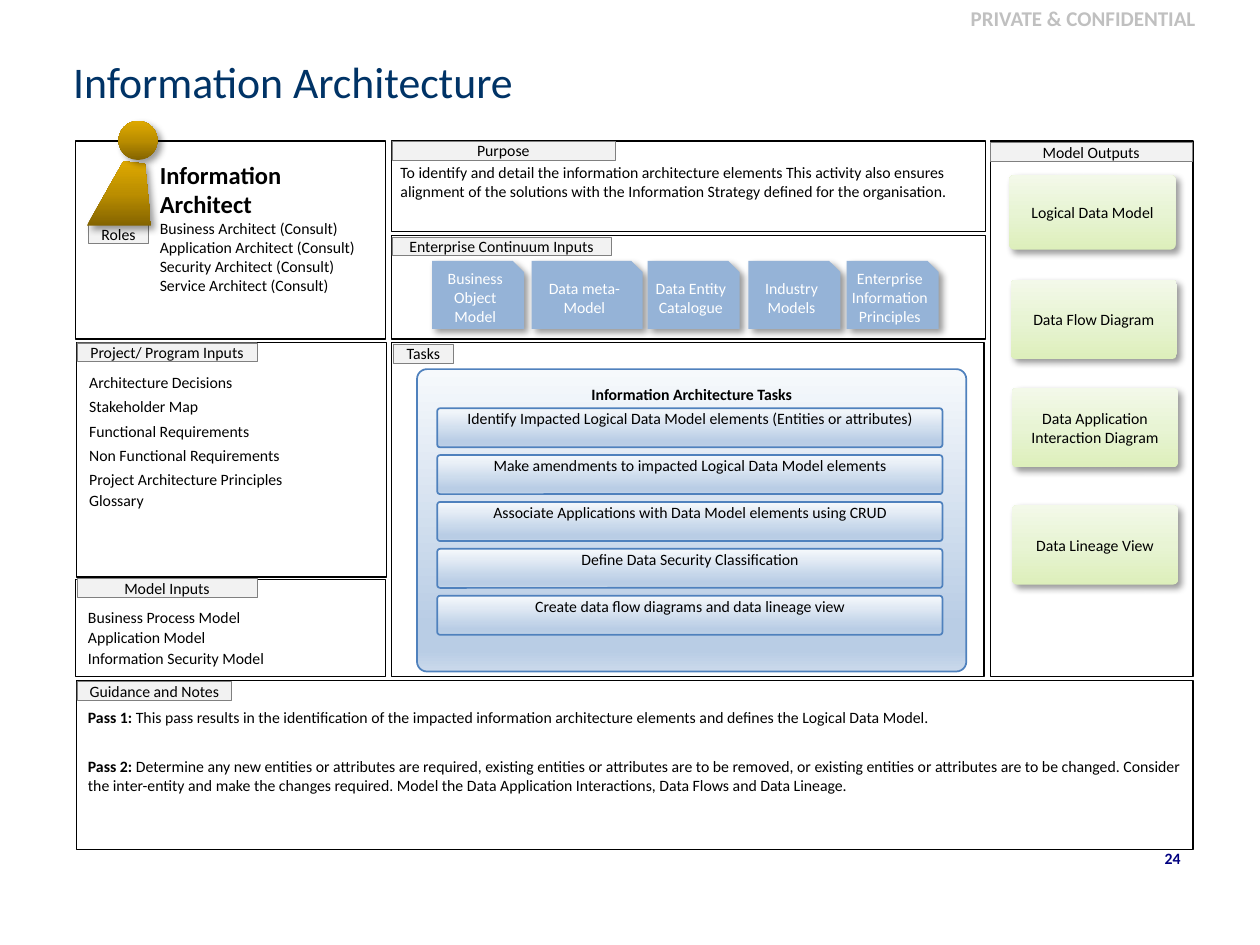
from dataclasses import dataclass

from lxml.etree import SubElement
from pptx import Presentation
from pptx.dml.color import RGBColor
from pptx.enum.shapes import MSO_SHAPE
from pptx.enum.text import MSO_ANCHOR, PP_ALIGN
from pptx.oxml.ns import qn
from pptx.util import Inches, Pt


@dataclass(frozen=True)
class Theme:
    font: str = "Calibri"
    black: str = "000000"
    white: str = "FFFFFF"
    title: str = "003366"
    number: str = "000080"
    marking: str = "C0C0C0"
    label: str = "F2F2F2"
    label_line: str = "808080"
    chip: str = "95B3D7"
    task_line: str = "4F81BD"
    blue: tuple = ((0, "F6F9FC"), (85, "B9CDE5"), (93, "B9CDE5"), (100, "CAD9EB"))
    green: tuple = ((0, "DDEFBB"), (50, "E8F4D4"), (100, "F3F9E9"))
    gold: tuple = ((0, "846400"), (50, "BB8E00"), (100, "DEA900"))
    body: int = 9
    small: int = 12
    role: int = 14
    heading: int = 25


class Board:
    """Draws on a slide laid out as a grid of 100 columns by 75 rows."""

    def __init__(self, prs, theme):
        self.t = theme
        self.s = prs.slides.add_slide(prs.slide_layouts[6])
        self.col = prs.slide_width / 100
        self.row = prs.slide_height / 75

    def place(self, x, y, w, h):
        return [round(v * u) for v, u in zip((x, y, w, h), (self.col, self.row) * 2)]

    def set_text(self, sp, paras, size=None, color=None, bold=False, align=PP_ALIGN.LEFT,
                 anchor=MSO_ANCHOR.TOP, insets=(0.1, 0.05), top=None, after=()):
        tf = sp.text_frame
        tf.word_wrap = True
        tf.vertical_anchor = anchor
        tf.margin_left = tf.margin_right = Inches(insets[0])
        tf.margin_top = Inches(insets[1] if top is None else top)
        tf.margin_bottom = Inches(insets[1])
        tf.text = "\n".join(paras)
        for i, p in enumerate(tf.paragraphs):
            p.alignment = align
            if after:
                p.space_after = Pt(after[i])
            for r in p.runs:
                self.font(r, size, color, bold)
        return tf

    def font(self, r, size=None, color=None, bold=False):
        r.font.name = self.t.font
        r.font.size = Pt(size or self.t.body)
        r.font.bold = bold
        r.font.color.rgb = RGBColor.from_string(color or self.t.black)

    def text(self, at, paras, **style):
        return self.set_text(self.s.shapes.add_textbox(*self.place(*at)), paras, **style)

    def paint(self, sp, fill, line=None, width=0.75, angle=90, shadow=False):
        if isinstance(fill, str):
            sp.fill.solid()
            sp.fill.fore_color.rgb = RGBColor.from_string(fill)
        else:
            sp.fill.gradient()
            sp.fill.gradient_angle = angle
            stops = sp.element.spPr.find(qn("a:gradFill")).find(qn("a:gsLst"))
            stops.clear()
            for pos, color in fill:
                gs = SubElement(stops, qn("a:gs"), pos=str(pos * 1000))
                SubElement(gs, qn("a:srgbClr"), val=color)
        if line:
            sp.line.color.rgb = RGBColor.from_string(line)
            sp.line.width = Pt(width)
        else:
            sp.line.fill.background()
        sp.shadow.inherit = False
        if shadow:
            effects = sp.element.spPr.find(qn("a:effectLst"))
            outer = SubElement(effects, qn("a:outerShdw"), blurRad=str(Pt(4)),
                               dist=str(Pt(3)), dir=str(45 * 60000), rotWithShape="0")
            color = SubElement(outer, qn("a:srgbClr"), val=self.t.black)
            SubElement(color, qn("a:alpha"), val="40000")
        return sp

    def shape(self, kind, at, fill, adj=None, **look):
        sp = self.s.shapes.add_shape(kind, *self.place(*at))
        if adj is not None:
            sp.adjustments[0] = adj
        return self.paint(sp, fill, **look)

    def panel(self, at):
        return self.shape(MSO_SHAPE.RECTANGLE, at, self.t.white, line=self.t.black)

    def centred(self, sp, text, anchor=MSO_ANCHOR.MIDDLE, **style):
        self.set_text(sp, [text], align=PP_ALIGN.CENTER, anchor=anchor,
                      **{"insets": (0, 0), **style})

    def label(self, x, y, w, text):
        sp = self.shape(MSO_SHAPE.RECTANGLE, (x, y, w, 1.5), self.t.label,
                        line=self.t.label_line, width=0.25)
        self.centred(sp, text, anchor=MSO_ANCHOR.TOP)

    def chip(self, x, w, text):
        sp = self.shape(MSO_SHAPE.SNIP_1_RECTANGLE, (x, 20.7, w, 5.4), self.t.chip,
                        shadow=True)
        self.centred(sp, text, color=self.t.white)

    def task(self, at, text, adj, **style):
        sp = self.shape(MSO_SHAPE.ROUNDED_RECTANGLE, at, self.t.blue, adj=adj,
                        angle=270, line=self.t.task_line, width=1)
        self.centred(sp, text, anchor=MSO_ANCHOR.TOP, **style)

    def output(self, at, text):
        sp = self.shape(MSO_SHAPE.ROUNDED_RECTANGLE, at, self.t.green, adj=0.062,
                        shadow=True)
        self.centred(sp, text)

    def note(self, y, h, lead, text):
        p = self.text((6, y, 88.6, h), [lead]).paragraphs[0]
        p.runs[0].font.bold = True
        r = p.add_run()
        r.text = text
        self.font(r)

    def person(self):
        points = [(6.9, 17.9), (9.8, 12.8), (11.5, 13), (12, 17.9)]
        start, *rest = [self.place(x, y, 0, 0)[:2] for x, y in points]
        fb = self.s.shapes.build_freeform(*start)
        fb.add_line_segments(rest, close=True)
        robe = self.paint(fb.convert_to_shape(), self.t.gold, shadow=True)
        head = self.shape(MSO_SHAPE.OVAL, (9.4, 9.6, 3.1, 3.1), self.t.gold, shadow=True)
        self.s.shapes.add_group_shape([robe, head])


def main():
    prs = Presentation()
    prs.slide_width, prs.slide_height = Inches(10), Inches(7.5)
    t = Theme()
    b = Board(prs, t)

    # Marking, title and page number
    b.text((61.7, 0, 34.1, 2.9), ["PRIVATE & CONFIDENTIAL"], size=t.small,
           color=t.marking, bold=True, align=PP_ALIGN.RIGHT, insets=(0.09, 0.04))
    b.text((4.9, 2.8, 89.1, 7.3), ["Information Architecture"], size=t.heading,
           color=t.title, anchor=MSO_ANCHOR.MIDDLE, insets=(0.09, 0.05))
    b.text((90.6, 66.9, 4, 3), ["24"], color=t.number, bold=True,
           align=PP_ALIGN.RIGHT, insets=(0.09, 0.05))

    # Panels
    for at in [(31.1, 18.7, 47.1, 8.2), (78.6, 11.2, 16.1, 42.5), (31.1, 27.2, 47, 26.5),
               (6, 11.2, 24.6, 15.7), (6.1, 54, 88.6, 13.4), (31.1, 11.2, 47.1, 7.2)]:
        b.panel(at)
    b.set_text(b.panel((6.1, 27.2, 24.6, 18.6)),
               ["Architecture Decisions", "Stakeholder Map", "Functional Requirements",
                "Non Functional Requirements", "Project Architecture Principles", "Glossary"],
               top=0.24, after=(3, 3, 3, 3, 1, 1))
    b.set_text(b.panel((6, 46, 24.6, 7.7)),
               ["Business Process Model", "Application Model", "Information Security Model"],
               top=0.22, after=(1, 1, 1))

    # Panel labels
    for x, y, w, text in [(6.1, 27.2, 14.3, "Project/ Program Inputs"),
                          (31.1, 18.8, 17.4, "Enterprise Continuum Inputs"),
                          (31.2, 27.3, 4.8, "Tasks"),
                          (78.6, 11.3, 16, "Model Outputs"),
                          (7, 17.8, 4.8, "Roles"),
                          (6.1, 54.1, 12.3, "Guidance and Notes"),
                          (31.1, 11.2, 17.7, "Purpose"),
                          (6.1, 45.9, 14.3, "Model Inputs")]:
        b.label(x, y, w, text)

    # Purpose and guidance
    b.text((30.8, 12.4, 47.1, 4),
           ["To identify and detail the information architecture elements This activity also "
            "ensures alignment of the solutions with the Information Strategy defined for "
            "the organisation."])
    b.note(55.7, 2.5, "Pass 1: ",
           "This pass results in the identification of the impacted information architecture "
           "elements and defines the Logical Data Model.")
    b.note(59.6, 4, "Pass 2: ",
           "Determine any new entities or attributes are required, existing entities or "
           "attributes are to be removed, or existing entities or attributes are to be "
           "changed. Consider the inter-entity and make the changes required. Model the "
           "Data Application Interactions, Data Flows and Data Lineage.")

    # Roles
    tf = b.text((11.7, 12.2, 18.7, 11.8),
                ["Information Architect", "Business Architect (Consult)",
                 "Application Architect (Consult)", "Security Architect (Consult)",
                 "Service Architect (Consult)"])
    b.font(tf.paragraphs[0].runs[0], size=t.role, bold=True)
    b.person()

    # Enterprise continuum inputs
    for x, w, text in [(34.3, 7.3, "Business Object Model"), (42.2, 8.8, "Data meta-Model"),
                       (51.4, 7.3, "Data Entity Catalogue"), (59.4, 7.3, "Industry Models"),
                       (67.2, 7.3, "Enterprise Information Principles")]:
        b.chip(x, w, text)

    # Tasks
    b.task((33.1, 29.3, 43.6, 24), "Information Architecture Tasks", 0.033,
           bold=True, insets=(0.1, 0.1))
    tasks = ["Identify Impacted Logical Data Model elements (Entities or attributes)",
             "Make amendments to impacted Logical Data Model elements",
             "Associate Applications with Data Model elements using CRUD",
             "Define Data Security Classification",
             "Create data flow diagrams and data lineage view"]
    for i, text in enumerate(tasks):
        b.task((34.7, 32.4 + 3.72 * i, 40.1, 3.1), text, 0.073)

    # Model outputs
    for x, y, h, text in [(80.1, 13.9, 5.9, "Logical Data Model"),
                          (80.2, 22.2, 6.3, "Data Flow Diagram"),
                          (80.3, 30.8, 6.3, "Data Application Interaction Diagram"),
                          (80.3, 40.1, 6.3, "Data Lineage View")]:
        b.output((x, y, 13.2, h), text)

    prs.save("out.pptx")


if __name__ == "__main__":
    main()
